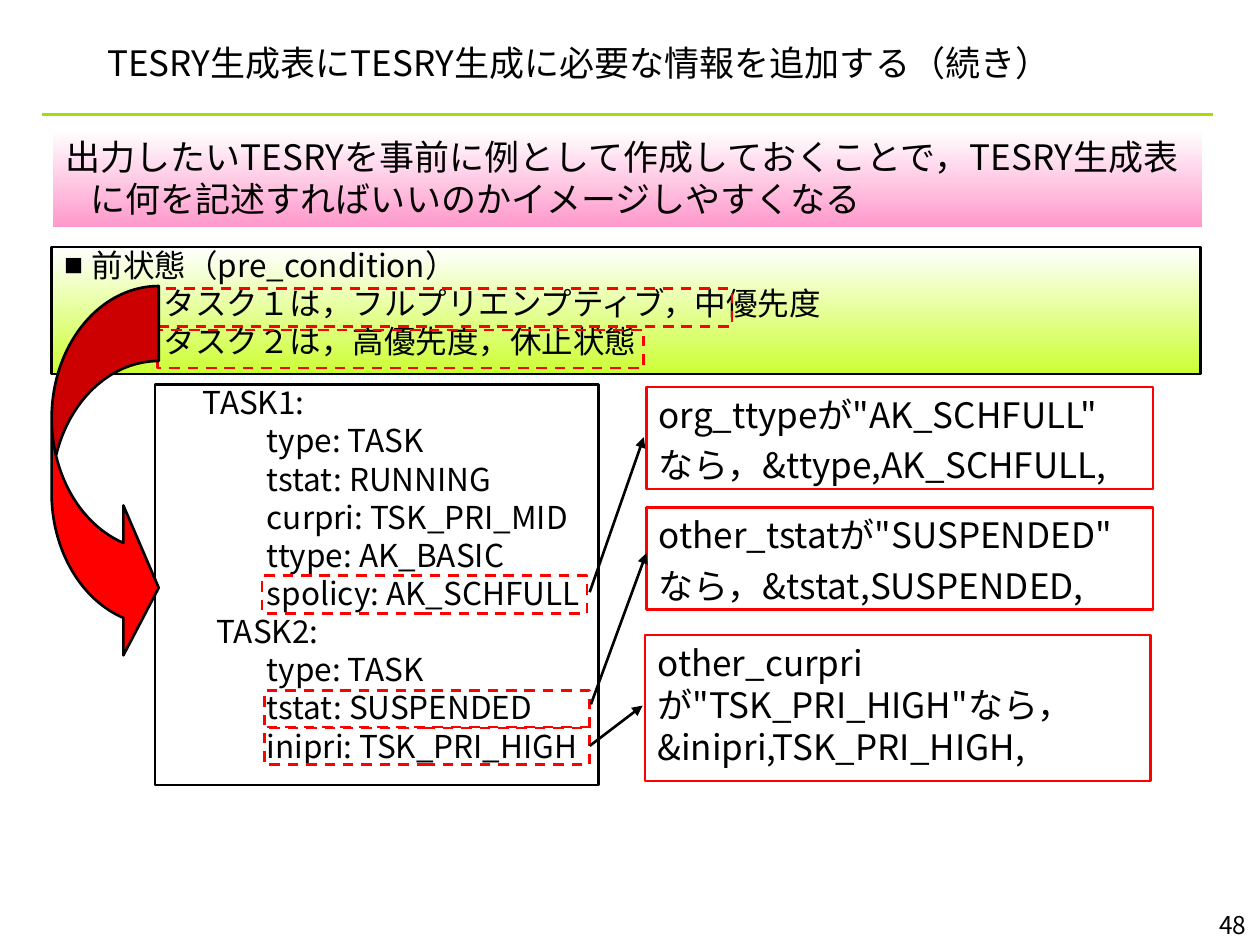
from lxml import etree
from pptx import Presentation
from pptx.dml.color import RGBColor
from pptx.enum.dml import MSO_LINE
from pptx.enum.shapes import MSO_CONNECTOR, MSO_SHAPE
from pptx.enum.text import MSO_ANCHOR, MSO_AUTO_SIZE, PP_ALIGN
from pptx.oxml.ns import qn
from pptx.util import Inches, Pt

FONT = "Noto Sans CJK JP"


def color(code):
    return RGBColor.from_string(code)


def write(frame, text, size=20, margin=0, indent=0, spacing=None, before=0,
          bullet=None, align=PP_ALIGN.LEFT):
    first = not frame.paragraphs[0].runs
    paragraph = frame.paragraphs[0] if first else frame.add_paragraph()
    properties = paragraph._p.get_or_add_pPr()
    properties.set("marL", str(Inches(margin)))
    properties.set("indent", str(Inches(indent)))
    if bullet:
        etree.SubElement(properties, qn("a:buChar"), char=bullet)
    else:
        etree.SubElement(properties, qn("a:buNone"))
    paragraph.alignment = align
    paragraph.space_before = Pt(0 if first else before)
    if spacing:
        paragraph.line_spacing = spacing
    span = paragraph.add_run()
    span.text = text
    span.font.name = FONT
    span.font.size = Pt(size)
    span.font.color.rgb = color("000000")
    etree.SubElement(span._r.get_or_add_rPr(), qn("a:ea"), typeface=FONT)


deck = Presentation()
deck.slide_width, deck.slide_height = Inches(10), Inches(7.5)
page = deck.slides.add_slide(deck.slide_layouts[1])

title = page.shapes.title
title.left, title.top, title.width, title.height = map(Inches, (0.75, 0.25, 8.5, 0.5))
title.text_frame.auto_size = MSO_AUTO_SIZE.NONE
title.text_frame.vertical_anchor = MSO_ANCHOR.MIDDLE
write(title.text_frame, "TESRY生成表にTESRY生成に必要な情報を追加する（続き）")

condition = page.placeholders[1]
condition.left, condition.top, condition.width, condition.height = map(
    Inches, (0.41, 1.96, 9.12, 1.01))
condition.line.color.rgb = color("000000")
condition.line.width = Pt(1.5)
condition.text_frame.auto_size = MSO_AUTO_SIZE.NONE
write(condition.text_frame, "前状態（pre_condition）", size=18, margin=0.22,
      indent=-0.22, spacing=0.8, bullet="■")
for text in ("タスク１は，フルプリエンプティブ，中優先度", "タスク２は，高優先度，休止状態"):
    write(condition.text_frame, text, size=18, margin=0.79, spacing=0.8, before=4.5)

banner = page.shapes.add_shape(
    MSO_SHAPE.RECTANGLE, Inches(0.42), Inches(1.03), Inches(9.12), Inches(0.77))
banner.shadow.inherit = False
banner.line.fill.background()
banner.text_frame.word_wrap = True
banner.text_frame.vertical_anchor = MSO_ANCHOR.TOP
write(banner.text_frame,
      "出力したいTESRYを事前に例として作成しておくことで，TESRY生成表に何を記述すればいいのかイメージしやすくなる",
      margin=0.2, indent=-0.2)

for shape, end_color in ((condition, "CCFF33"), (banner, "FF99CC")):
    shape.fill.gradient()
    shape.fill.gradient_angle = 270
    for stop, position, code in zip(shape.fill.gradient_stops, (0, 1), ("FFFFFF", end_color)):
        stop.position = position
        stop.color.rgb = color(code)

code_lines = [
    ("TASK1:", 0.28), ("type: TASK", 0.79), ("tstat: RUNNING", 0.79),
    ("curpri: TSK_PRI_MID", 0.79), ("ttype: AK_BASIC", 0.79),
    ("spolicy: AK_SCHFULL", 0.79), ("TASK2:", 0.39), ("type: TASK", 0.79),
    ("tstat: SUSPENDED", 0.79), ("inipri: TSK_PRI_HIGH", 0.79),
]
code_format = {"size": 18, "spacing": 0.8, "before": 4.5}
rule_format = {"size": 20, "before": 5}
text_boxes = [
    (1.23, 3.05, 3.52, 3.18, "000000", code_lines, code_format),
    (5.13, 3.07, 4.02, 0.81, "FF0000",
     [('org_ttypeが"AK_SCHFULL"', 0), ("なら，&ttype,AK_SCHFULL,", 0)], rule_format),
    (5.13, 4.03, 4.02, 0.81, "FF0000",
     [('other_tstatが"SUSPENDED"', 0), ("なら，&tstat,SUSPENDED,", 0)], rule_format),
    (5.12, 5.04, 4.01, 1.16, "FF0000",
     [('other_curpriが"TSK_PRI_HIGH"なら，&inipri,TSK_PRI_HIGH,', 0)], rule_format),
]
for left, top, width, height, code, lines, style in text_boxes:
    box = page.shapes.add_shape(
        MSO_SHAPE.RECTANGLE, Inches(left), Inches(top), Inches(width), Inches(height))
    box.shadow.inherit = False
    box.fill.background()
    box.line.color.rgb = color(code)
    box.line.width = Pt(1.5)
    box.text_frame.word_wrap = True
    box.text_frame.vertical_anchor = MSO_ANCHOR.TOP
    for text, margin in lines:
        write(box.text_frame, text, margin=margin, **style)

highlights = [(2.08, 4.57, 2.58), (2.1, 5.48, 2.58), (2.1, 5.77, 2.58),
              (1.26, 2.29, 4.55), (1.25, 2.62, 3.86)]
for left, top, width in highlights:
    highlight = page.shapes.add_shape(
        MSO_SHAPE.RECTANGLE, Inches(left), Inches(top), Inches(width), Inches(0.3))
    highlight.shadow.inherit = False
    highlight.fill.background()
    highlight.line.color.rgb = color("FF0000")
    highlight.line.width = Pt(1.5)
    highlight.line.dash_style = MSO_LINE.DASH

connectors = [
    (0.33, 0.91, 9.63, 0.91, "A4DE00", False),
    (4.68, 4.7, 5.11, 3.47, "000000", True),
    (4.69, 5.59, 5.13, 4.39, "000000", True),
    (4.68, 5.92, 5.1, 5.6, "000000", True),
]
for start_x, start_y, end_x, end_y, code, has_head in connectors:
    connector = page.shapes.add_connector(
        MSO_CONNECTOR.STRAIGHT, Inches(start_x), Inches(start_y), Inches(end_x), Inches(end_y))
    connector.line.color.rgb = color(code)
    connector.line.width = Pt(1.5)
    if has_head:
        etree.SubElement(connector.line._get_or_add_ln(), qn("a:tailEnd"), type="triangle")
    etree.SubElement(connector._element.spPr, qn("a:effectLst"))

curved_arrow = page.shapes.add_shape(
    MSO_SHAPE.CURVED_RIGHT_ARROW, Inches(0.41), Inches(2.27), Inches(0.85), Inches(2.99))
curved_arrow.shadow.inherit = False
curved_arrow.fill.solid()
curved_arrow.fill.fore_color.rgb = color("FF0000")
curved_arrow.line.color.rgb = color("000000")
curved_arrow.line.width = Pt(1.5)
for index, value in enumerate((0.7, 1.4, 0.33)):
    curved_arrow.adjustments[index] = value

number = page.shapes.add_textbox(Inches(7.91), Inches(7.17), Inches(2.08), Inches(0.33))
number.text_frame.word_wrap = True
write(number.text_frame, "48", size=14, align=PP_ALIGN.RIGHT)

deck.save("out.pptx")
